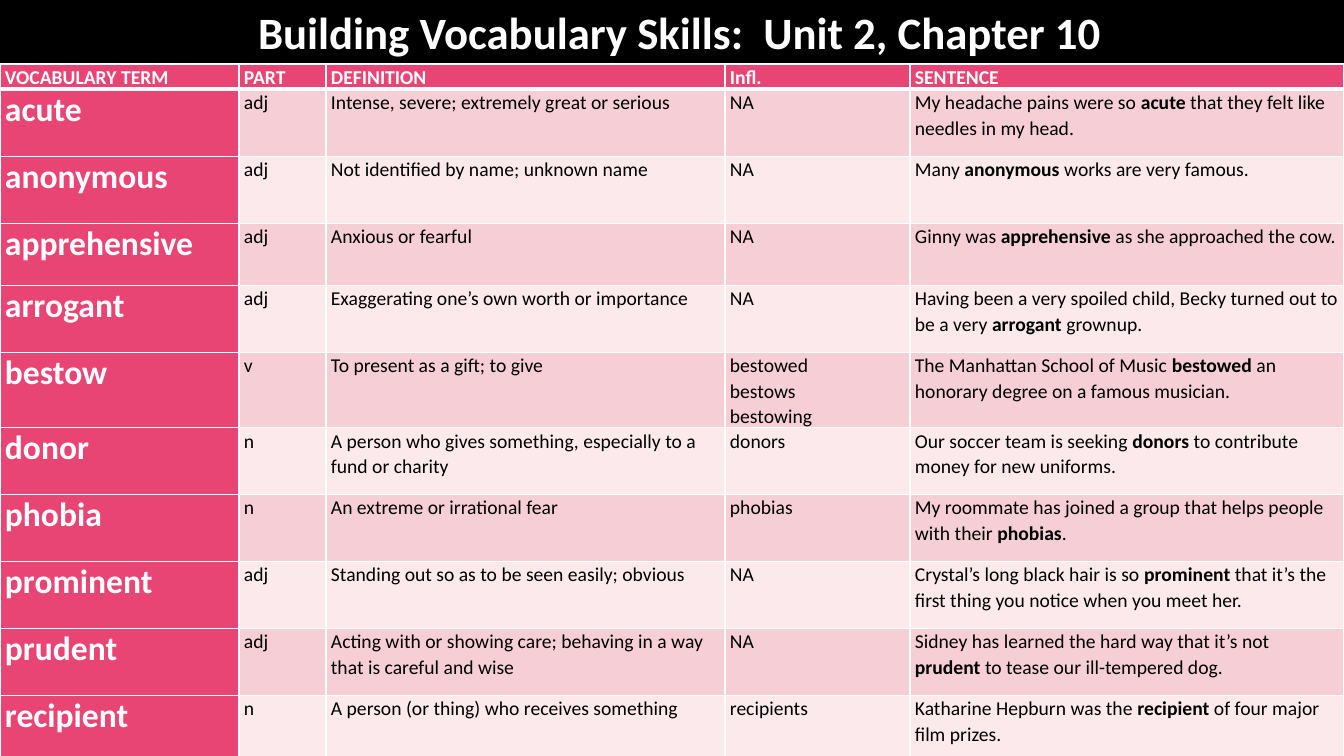
"""Build the vocabulary slide for Unit 2, Chapter 10."""
import pptx
import pptx.dml.color
import pptx.enum.text
import pptx.oxml
import pptx.oxml.ns
import pptx.util

SCALE = 914400 / 100.8
THEME = {
    "font": "Calibri",
    "background": "000000",
    "border": "FFFFFF",
    "accent": "E84574",
    "bands": ["F6CFD6", "FBE9EB"],
    "title": {"size": 32, "color": "FFFFFF", "bold": True, "spacing": None},
    "heading": {"size": 14, "color": "FFFFFF", "bold": True, "spacing": 1.07},
    "term": {"size": 24, "color": "FFFFFF", "bold": True, "spacing": None},
    "body": {"size": 14, "color": "000000", "bold": False, "spacing": 1.07},
}
COLUMN_WIDTHS = [239, 87, 399, 185, 434]
ROW_HEIGHTS = [25, 67, 67, 62, 67, 75, 67, 67, 67, 67, 67]
HEADINGS = ["VOCABULARY TERM", "PART", "DEFINITION", "Infl.", "SENTENCE"]
ENTRIES = [
    ["acute", "adj", "Intense, severe; extremely great or serious", "NA",
     "My headache pains were so *acute* that they felt like needles in my head."],
    ["anonymous", "adj", "Not identified by name; unknown name", "NA",
     "Many *anonymous* works are very famous."],
    ["apprehensive", "adj", "Anxious or fearful", "NA",
     "Ginny was *apprehensive* as she approached the cow."],
    ["arrogant", "adj", "Exaggerating one’s own worth or importance", "NA",
     "Having been a very spoiled child, Becky turned out to be a very *arrogant* grownup."],
    ["bestow", "v", "To present as a gift; to give", "bestowed\nbestows\nbestowing",
     "The Manhattan School of Music *bestowed* an honorary degree on a famous musician."],
    ["donor", "n", "A person who gives something, especially to a fund or charity", "donors",
     "Our soccer team is seeking *donors* to contribute money for new uniforms."],
    ["phobia", "n", "An extreme or irrational fear", "phobias",
     "My roommate has joined a group that helps people with their *phobias*."],
    ["prominent", "adj", "Standing out so as to be seen easily; obvious", "NA",
     "Crystal’s long black hair is so *prominent* that it’s the first thing you notice when you meet her."],
    ["prudent", "adj", "Acting with or showing care; behaving in a way that is careful and wise", "NA",
     "Sidney has learned the hard way that it’s not *prudent* to tease our ill-tempered dog."],
    ["recipient", "n", "A person (or thing) who receives something", "recipients",
     "Katharine Hepburn was the *recipient* of four major film prizes."],
]


def px(length):
    """Turn pixels into EMU."""
    return pptx.util.Emu(round(length * SCALE))


def write_text(text_frame, text, style):
    """Write one paragraph per line, with words between asterisks in bold."""
    for line_number, line in enumerate(text.split("\n")):
        paragraph = text_frame.add_paragraph() if line_number else text_frame.paragraphs[0]
        paragraph.line_spacing = style["spacing"]
        for part_number, part in enumerate(line.split("*")):
            run = paragraph.add_run()
            run.text = part
            run.font.color.rgb = pptx.dml.color.RGBColor.from_string(style["color"])
            font_format = {
                "name": THEME["font"],
                "size": pptx.util.Pt(style["size"]),
                "bold": style["bold"] or part_number % 2 == 1,
            }
            for name, value in font_format.items():
                setattr(run.font, name, value)


presentation = pptx.Presentation()
presentation.slide_width = px(1344)
presentation.slide_height = px(756)
slide = presentation.slides.add_slide(presentation.slide_layouts[5])
slide.background.fill.solid()
slide.background.fill.fore_color.rgb = pptx.dml.color.RGBColor.from_string(THEME["background"])

title = slide.shapes.title
for name, value in {"left": 248, "top": 0, "width": 894, "height": 65}.items():
    setattr(title, name, px(value))
title_format = {
    "word_wrap": False,
    "auto_size": pptx.enum.text.MSO_AUTO_SIZE.SHAPE_TO_FIT_TEXT,
    "vertical_anchor": pptx.enum.text.MSO_ANCHOR.TOP,
}
for name, value in title_format.items():
    setattr(title.text_frame, name, value)
write_text(title.text_frame, "Building Vocabulary Skills:  Unit 2, Chapter 10", THEME["title"])
title.text_frame.paragraphs[0].alignment = pptx.enum.text.PP_ALIGN.LEFT

rows = [HEADINGS] + ENTRIES
table = slide.shapes.add_table(
    len(rows), len(HEADINGS), px(0), px(64), px(sum(COLUMN_WIDTHS)), px(sum(ROW_HEIGHTS))
).table
table.horz_banding = False
for column, width in zip(table.columns, COLUMN_WIDTHS):
    column.width = px(width)
for row, height in zip(table.rows, ROW_HEIGHTS):
    row.height = px(height)

cell_margins = {"margin_left": 5, "margin_right": 5, "margin_top": 0, "margin_bottom": 0}
for row_number, texts in enumerate(rows):
    for column_number, text in enumerate(texts):
        cell = table.cell(row_number, column_number)
        for name, value in cell_margins.items():
            setattr(cell, name, px(value))
        if row_number == 0:
            style, fill = THEME["heading"], THEME["accent"]
        elif column_number == 0:
            style, fill = THEME["term"], THEME["accent"]
        else:
            style, fill = THEME["body"], THEME["bands"][(row_number - 1) % 2]
        write_text(cell.text_frame, text, style)
        cell_properties = cell._tc.get_or_add_tcPr()
        for side in "LRTB":
            thick = (row_number, side) in [(0, "B"), (1, "T")]
            cell_properties.append(pptx.oxml.parse_xml(
                f'<a:ln{side} {pptx.oxml.ns.nsdecls("a")} w="{pptx.util.Pt(3 if thick else 1)}">'
                f'<a:solidFill><a:srgbClr val="{THEME["border"]}"/></a:solidFill></a:ln{side}>'
            ))
        cell.fill.solid()
        cell.fill.fore_color.rgb = pptx.dml.color.RGBColor.from_string(fill)

presentation.save("out.pptx")
